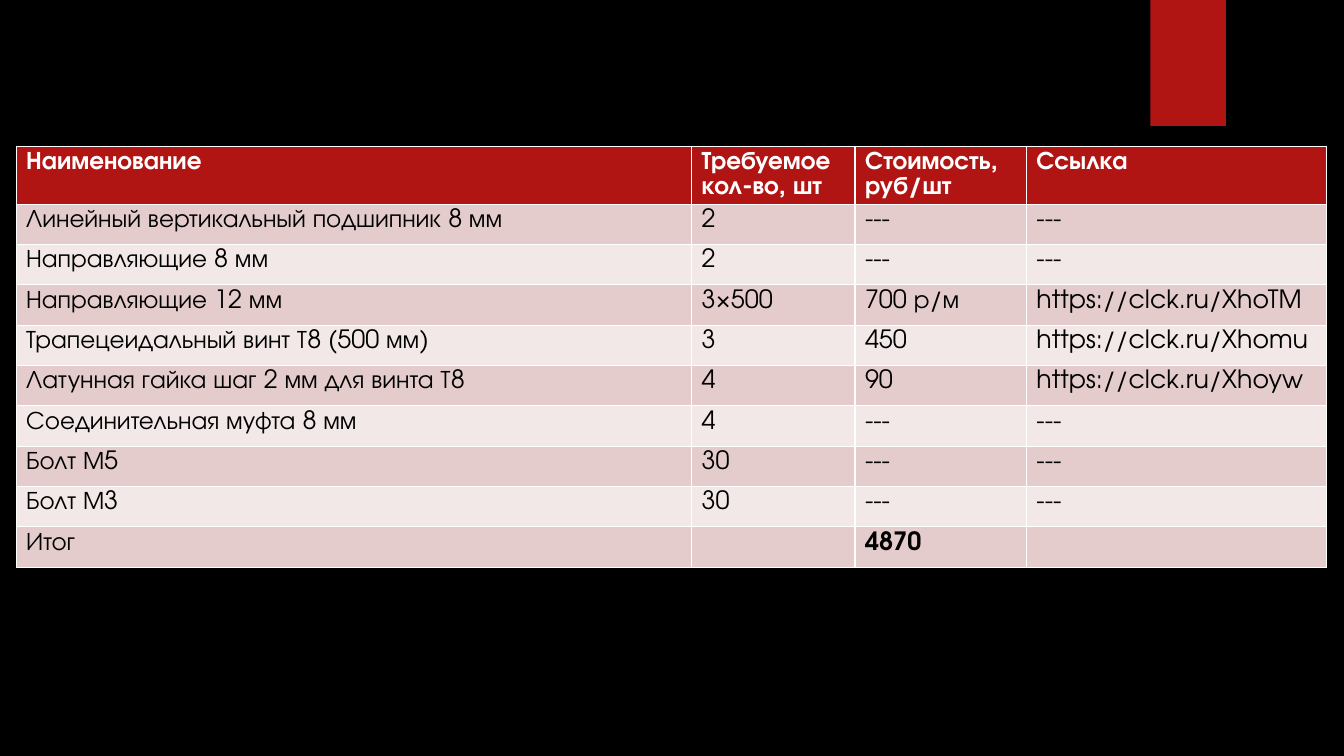
import dataclasses

import pptx
import pptx.dml.color
import pptx.enum.shapes
import pptx.oxml
import pptx.oxml.ns
import pptx.util

Inches = pptx.util.Inches
RGBColor = pptx.dml.color.RGBColor
SHAPE = pptx.enum.shapes.MSO_SHAPE

BLACK = RGBColor(0x00, 0x00, 0x00)
WHITE = RGBColor(0xFF, 0xFF, 0xFF)
RED = RGBColor(0xB0, 0x15, 0x13)
ROSE = RGBColor(0xE4, 0xCC, 0xCC)
PALE = RGBColor(0xF2, 0xE8, 0xE7)
TEAL = RGBColor(0x50, 0xB9, 0xC1)
FONT = "TeX Gyre Adventor"
NONE = "---"
WIDTHS = (6.7, 1.62, 1.7, 2.98)
HEAD_H = 0.49
ROW_H = 0.4
GLOW = ((0, 7), (36, 6), (69, 0))


@dataclasses.dataclass(frozen=True)
class Part:
    name: str
    count: str
    price: str = NONE
    link: str = NONE


HEAD = Part("Наименование", "Требуемое кол-во, шт", "Стоимость, руб/шт", "Ссылка")
PARTS = (
    Part("Линейный вертикальный подшипник 8 мм", "2"),
    Part("Направляющие 8 мм", "2"),
    Part("Направляющие 12 мм", "3×500", "700 р/м", "https://clck.ru/XhoTM"),
    Part("Трапецеидальный винт Т8 (500 мм)", "3", "450", "https://clck.ru/Xhomu"),
    Part("Латунная гайка шаг 2 мм для винта Т8", "4", "90", "https://clck.ru/Xhoyw"),
    Part("Соединительная муфта 8 мм", "4"),
    Part("Болт М5", "30"),
    Part("Болт М3", "30"),
)
TOTAL = Part("Итог", "", "4870", "")


def write(frame, text: str, *, size: float = 18, color: RGBColor = BLACK,
          bold: bool = False, pitch: float = 1.07) -> None:
    para = frame.paragraphs[0]
    para.line_spacing = pitch
    font = para.font
    if text:
        run = para.add_run()
        run.text = text
        font = run.font
    font.name = FONT
    font.size = pptx.util.Pt(size)
    font.bold = bold
    font.color.rgb = color


def add_mark(slide, kind, left: float, top: float, width: float, high: float):
    """Add a plain red shape without line or shadow."""
    mark = slide.shapes.add_shape(
        kind, Inches(left), Inches(top), Inches(width), Inches(high))
    mark.shadow.inherit = False
    mark.fill.solid()
    mark.fill.fore_color.rgb = RED
    mark.line.fill.background()
    return mark


def add_glow(slide) -> None:
    """Draw the faint round glow behind the table."""
    glow = add_mark(slide, SHAPE.OVAL, 9.41, 1.83, 3.08, 3.08)
    stops = "".join(
        f'<a:gs pos="{pos * 1000}"><a:srgbClr val="{TEAL}">'
        f'<a:alpha val="{alpha * 1000}"/></a:srgbClr></a:gs>'
        for pos, alpha in GLOW)
    fill = pptx.oxml.parse_xml(
        f'<a:gradFill {pptx.oxml.ns.nsdecls("a")}><a:gsLst>{stops}</a:gsLst>'
        '<a:path path="circle">'
        '<a:fillToRect l="50000" t="50000" r="50000" b="50000"/>'
        '</a:path></a:gradFill>')
    props = glow.element.spPr
    props.replace(props.find(pptx.oxml.ns.qn("a:solidFill")), fill)


def add_parts(slide) -> None:
    rows = (HEAD, *PARTS, TOTAL)
    high = HEAD_H + ROW_H * (len(rows) - 1)
    table = slide.shapes.add_table(
        len(rows), len(WIDTHS), Inches(0.16), Inches(1.45),
        Inches(sum(WIDTHS)), Inches(high)).table
    for col, width in zip(table.columns, WIDTHS):
        col.width = Inches(width)
    for i, part in enumerate(rows):
        head = part is HEAD
        table.rows[i].height = Inches(HEAD_H if head else ROW_H)
        fill = RED if head else ROSE if i % 2 else PALE
        for cell, text in zip(table.rows[i].cells, dataclasses.astuple(part)):
            cell.margin_top = Inches(0.03)
            cell.margin_bottom = Inches(0.05)
            cell.fill.solid()
            cell.fill.fore_color.rgb = fill
            write(cell.text_frame, text, color=WHITE if head else BLACK,
                  bold=head or text == TOTAL.price)


def main() -> None:
    deck = pptx.Presentation()
    deck.slide_width = Inches(13.33)
    deck.slide_height = Inches(7.5)
    slide = deck.slides.add_slide(deck.slide_layouts[6])
    slide.background.fill.solid()
    slide.background.fill.fore_color.rgb = BLACK
    add_glow(slide)
    add_mark(slide, SHAPE.RECTANGLE, 11.41, 0, 0.75, 1.25)
    add_parts(slide)
    deck.save("out.pptx")


if __name__ == "__main__":
    main()
